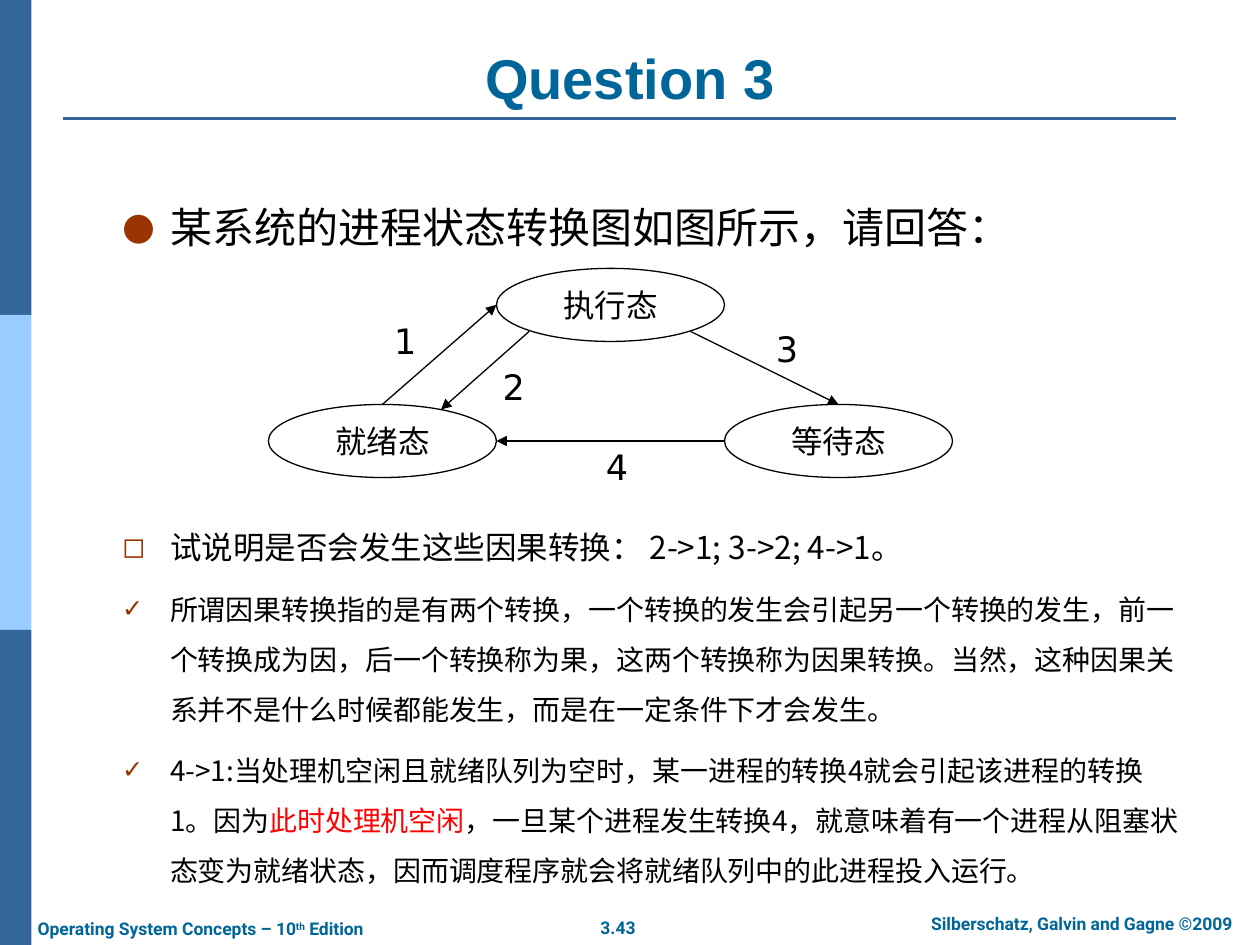
from pptx import Presentation
from pptx.dml.color import RGBColor
from pptx.enum.shapes import MSO_CONNECTOR, MSO_SHAPE
from pptx.enum.text import MSO_ANCHOR, MSO_AUTO_SIZE, PP_ALIGN
from pptx.oxml.ns import qn
from pptx.util import Inches, Pt
from lxml import etree

OVAL, RECT = MSO_SHAPE.OVAL, MSO_SHAPE.RECTANGLE
LINE = MSO_CONNECTOR.STRAIGHT
LEFT, MID = PP_ALIGN.LEFT, PP_ALIGN.CENTER
CENTER, BOTTOM, TOP = MSO_ANCHOR.MIDDLE, MSO_ANCHOR.BOTTOM, MSO_ANCHOR.TOP
FIT = MSO_AUTO_SIZE.TEXT_TO_FIT_SHAPE
NAVY, SKY, TEAL = "336699", "99CCFF", "006699"
BLACK, RED, RUST = "000000", "FF0000", "993300"
SANS, HAN, FOOT = "DejaVu Sans", "Noto Sans CJK SC", "Roboto"
OVAL_W, OVAL_H = 1.81, 0.58


def color(code):
    return RGBColor.from_string(code)


def place(shape, left, top, width, height):
    shape.left, shape.top = Inches(left), Inches(top)
    shape.width, shape.height = Inches(width), Inches(height)


def add_text(para, text, size=18, font=SANS, fill=BLACK, bold=False, base=0):
    run = para.add_run()
    run.text = text
    style = run.font
    style.size, style.name, style.bold = Pt(size), font, bold
    style.color.rgb = color(fill)
    props = style._element
    if base:
        props.set("baseline", str(base * 1000))
    props.find(qn("a:latin")).addnext(
        props.makeelement(qn("a:ea"), {"typeface": font}))


def add_box(slide, box, runs, align=LEFT, wrap=True, **style):
    """Text box whose runs are (text, extra format) pairs."""
    frame = slide.shapes.add_textbox(*map(Inches, box)).text_frame
    frame.word_wrap = wrap
    para = frame.paragraphs[0]
    para.alignment = align
    for text, extra in runs:
        add_text(para, text, **style, **extra)


def add_bar(slide, top, fill):
    bar = slide.shapes.add_shape(RECT, 0, Inches(top), Inches(0.25), Inches(2.5))
    bar.shadow.inherit = False
    bar.fill.solid()
    bar.fill.fore_color.rgb = color(fill)
    bar.line.fill.background()


def add_state(slide, left, top, name):
    oval = slide.shapes.add_shape(
        OVAL, *map(Inches, (left, top, OVAL_W, OVAL_H)))
    oval.shadow.inherit = False
    oval.fill.background()
    oval.line.color.rgb = color(BLACK)
    oval.line.width = Pt(0.75)
    frame = oval.text_frame
    frame.word_wrap = False
    frame.vertical_anchor = CENTER
    frame.paragraphs[0].alignment = MID
    add_text(frame.paragraphs[0], name)
    return oval


def add_line(slide, start, end, fill=BLACK, width=0.75, arrow=True):
    line = slide.shapes.add_connector(LINE, *map(Inches, start + end))
    line.line.color.rgb = color(fill)
    line.line.width = Pt(width)
    if arrow:
        etree.SubElement(line.line._get_or_add_ln(), qn("a:tailEnd"),
                         type="triangle")
    etree.SubElement(line._element.spPr, qn("a:effectLst"))
    return line


def add_bullet(para, mark):
    props = para._p.get_or_add_pPr()
    props.set("marL", str(Inches(0.38)))
    props.set("indent", str(-Inches(0.38)))
    tint = etree.SubElement(props, qn("a:buClr"))
    etree.SubElement(tint, qn("a:srgbClr"), val=RUST)
    etree.SubElement(props, qn("a:buSzPct"), val="90000")
    etree.SubElement(props, qn("a:buFont"), typeface=SANS)
    etree.SubElement(props, qn("a:buChar"), char=mark)


def fill_list(body, box, items):
    """Each item is a bullet mark, a size and (text, colour) runs."""
    place(body, *box)
    frame = body.text_frame
    frame.word_wrap = True
    frame.auto_size = FIT
    frame.vertical_anchor = TOP
    frame.margin_left = Inches(0.47)
    for i, (mark, size, runs) in enumerate(items):
        para = frame.add_paragraph() if i else frame.paragraphs[0]
        add_bullet(para, mark)
        para.alignment = LEFT
        para.line_spacing = 1.5
        para.space_before = Pt(0.35 * size if i else 0)
        for text, fill in runs:
            add_text(para, text, size=size, font=HAN, fill=fill)


def add_frame(slide):
    # Side bars, title rule and footer
    for i, fill in enumerate((NAVY, SKY, NAVY)):
        add_bar(slide, 2.5 * i, fill)
    add_line(slide, (0.5, 0.94), (9.33, 0.94), NAVY, 1.5, arrow=False)
    style = dict(size=10, font=FOOT, fill=TEAL, bold=True)
    add_box(slide, (4.66, 7.23, 0.49, 0.27), [("3.43", {})], MID, False, **style)
    add_box(slide, (7.1, 7.2, 2.97, 0.27),
            [("Silberschatz, Galvin and Gagne ©2009", {})], MID, **style)
    add_box(slide, (0.2, 7.24, 3.06, 0.27),
            [("Operating System Concepts – 10", {}), ("th", {"base": 30}),
             (" Edition", {})], wrap=False, **style)


def add_graph(slide):
    # States
    add_state(slide, 3.94, 2.13, "执行态")
    ready = add_state(slide, 2.13, 3.21, "就绪态")
    wait = add_state(slide, 5.75, 3.21, "等待态")

    # Moves between states
    add_line(slide, (3.04, 3.21), (3.94, 2.42)).begin_connect(ready, 0)
    add_line(slide, (4.2, 2.63), (3.5, 3.25))
    add_line(slide, (5.48, 2.63), (6.65, 3.21)).end_connect(wait, 0)
    add_line(slide, (5.75, 3.5), (3.94, 3.5))

    # Move numbers
    spots = ((3.03, 2.49), (3.89, 2.85), (6.06, 2.55), (4.71, 3.49))
    for i, spot in enumerate(spots, 1):
        add_box(slide, spot + (0.82, 0.44), [(str(i), {})], size=20)


def main():
    deck = Presentation()
    deck.slide_width, deck.slide_height = Inches(10), Inches(7.5)
    slide = deck.slides.add_slide(deck.slide_layouts[3])
    title, top, low = list(slide.placeholders)[:3]
    for spare in list(slide.placeholders)[3:]:
        spare._element.getparent().remove(spare._element)

    add_frame(slide)

    # Title
    place(title, 0.5, 0.3, 9, 0.63)
    title.text_frame.vertical_anchor = BOTTOM
    title.text_frame.paragraphs[0].alignment = MID
    add_text(title.text_frame.paragraphs[0], "Question 3", size=32,
             font="Arial", fill=TEAL, bold=True)

    # Question and answers
    fill_list(top, (0.5, 1.35, 9, 0.78), [
        ("●", 24, [("某系统的进程状态转换图如图所示，请回答：", BLACK)])])
    fill_list(low, (0.5, 3.99, 9, 3.32), [
        ("◻", 18, [("试说明是否会发生这些因果转换： 2->1; 3->2; 4->1。", BLACK)]),
        ("✓", 16, [("所谓因果转换指的是有两个转换，一个转换的发生会引起另一个转换的发生，"
                    "前一个转换成为因，后一个转换称为果，这两个转换称为因果转换。"
                    "当然，这种因果关系并不是什么时候都能发生，而是在一定条件下才会发生。",
                    BLACK)]),
        ("✓", 16, [("4->1:当处理机空闲且就绪队列为空时，某一进程的转换4就会引起"
                    "该进程的转换1。因为", BLACK),
                   ("此时处理机空闲", RED),
                   ("，一旦某个进程发生转换4，就意味着有一个进程从阻塞状态变为就绪状态，"
                    "因而调度程序就会将就绪队列中的此进程投入运行。", BLACK)])])

    add_graph(slide)
    deck.save("out.pptx")


if __name__ == "__main__":
    main()
